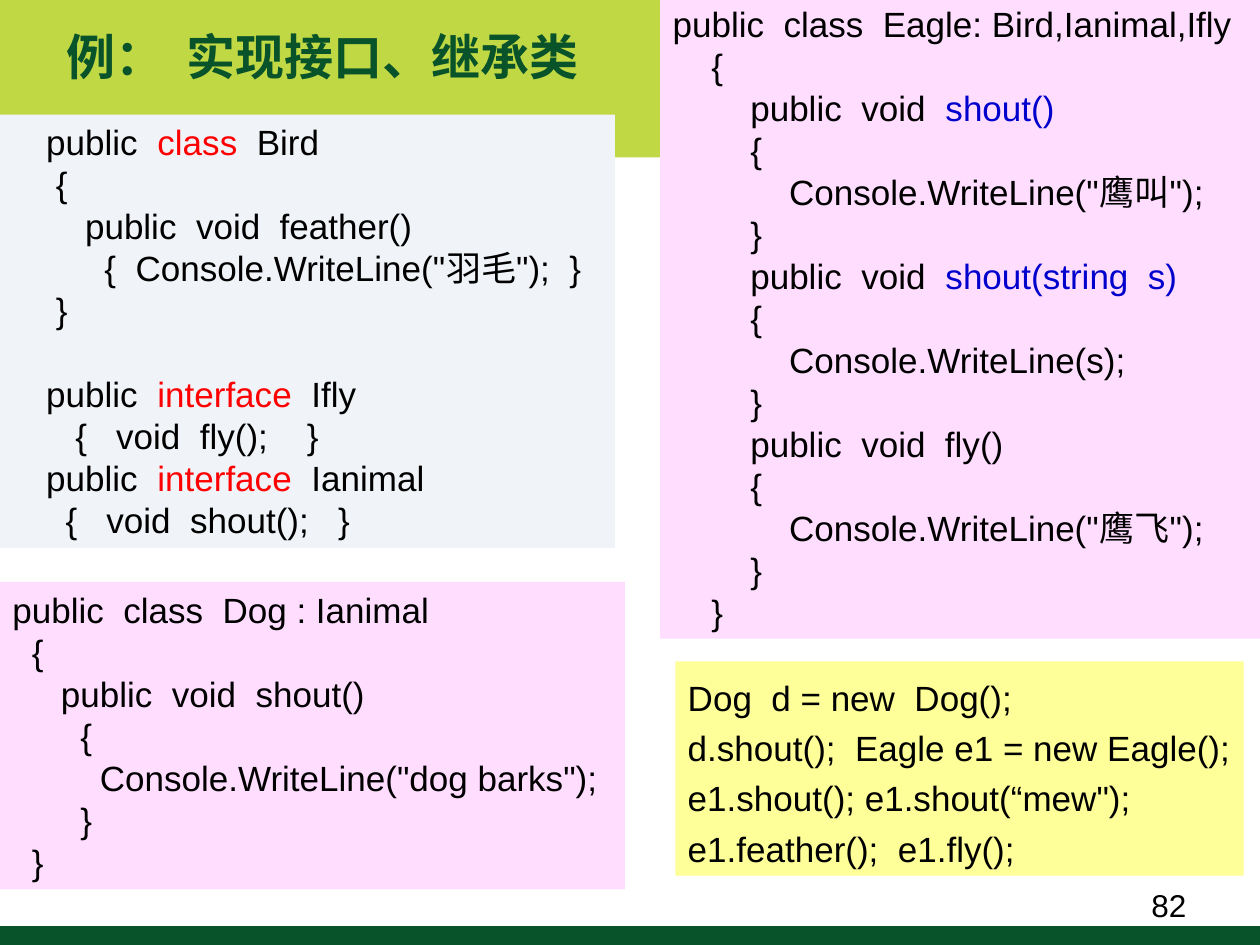
from pptx import Presentation
from pptx import util as u
from pptx.dml.color import RGBColor
from pptx.enum import shapes, text
from pptx.oxml.ns import qn
from lxml import etree

LIME = RGBColor(0xBF, 0xD8, 0x44)
GREEN = RGBColor(0x09, 0x53, 0x2A)
BLACK = RGBColor(0, 0, 0)
RED = RGBColor(0xFF, 0, 0)
BLUE = RGBColor(0, 0, 0xCC)
PALE_GREY = RGBColor(0xF0, 0xF3, 0xF8)
PINK = RGBColor(0xFF, 0xDD, 0xFF)
YELLOW = RGBColor(0xFF, 0xFF, 0x99)
LATIN_FONT = "Arial"
CHINESE_FONT = "Noto Sans CJK SC"
CODE_SIZE = 20
CODE_PITCH = 24

BIRD_CODE = '''    public  |class | Bird
     {
        public  void  feather()
          {  Console.WriteLine("羽毛");  }
     }

    public  |interface | Ifly
       {   void  fly();    }
    public  |interface | Ianimal
      {   void  shout();   }'''

DOG_CODE = '''public  class  Dog : Ianimal
  {
     public  void  shout()
       {
         Console.WriteLine("dog barks");
       }
  }'''

EAGLE_CODE = '''public  class  Eagle: Bird,Ianimal,Ifly
    {
        public  void  |shout()
        {
            Console.WriteLine("鹰叫");
        }
        public  void  |shout(string  s)
        {
            Console.WriteLine(s);
        }
        public  void  fly()
        {
            Console.WriteLine("鹰飞");
        }
    }'''

USAGE_CODE = '''Dog  d = new  Dog();
d.shout();  Eagle e1 = new Eagle();
e1.shout(); e1.shout(“mew");
e1.feather();  e1.fly();'''


def format_run(run, size, color, latin=LATIN_FONT, bold=False):
    run.font.size = u.Pt(size)
    run.font.bold = bold
    run.font.color.rgb = color
    run.font.name = latin
    east_asian = etree.Element(qn("a:ea"), typeface=CHINESE_FONT)
    run.font._element.find(qn("a:latin")).addnext(east_asian)


def add_rectangle(slide, box, fill):
    shape = slide.shapes.add_shape(
        shapes.MSO_SHAPE.RECTANGLE, *(u.Pt(value) for value in box))
    shape.shadow.inherit = False
    shape.fill.solid()
    shape.fill.fore_color.rgb = fill
    shape.line.fill.background()
    return shape


def add_code_panel(slide, box, fill, code, highlight=BLACK,
                   pitch=CODE_PITCH, wrap=True):
    frame = add_rectangle(slide, box, fill).text_frame
    frame.word_wrap = wrap
    frame.vertical_anchor = text.MSO_ANCHOR.TOP
    paragraph = frame.paragraphs[0]
    gap = 0
    for index, line in enumerate(code.splitlines()):
        if not line:
            gap = pitch
            continue
        if index:
            paragraph = frame.add_paragraph()
        paragraph.alignment = text.PP_ALIGN.LEFT
        paragraph.line_spacing = u.Pt(pitch)
        paragraph.space_before = u.Pt(gap)
        gap = 0
        for position, part in enumerate(line.split("|")):
            run = paragraph.add_run()
            run.text = part
            format_run(run, CODE_SIZE, highlight if position % 2 else BLACK)


def add_title(slide, box, words):
    title = slide.shapes.title
    title.left, title.top, title.width, title.height = (
        u.Pt(value) for value in box)
    frame = title.text_frame
    frame.text = words
    frame.vertical_anchor = text.MSO_ANCHOR.MIDDLE
    paragraph = frame.paragraphs[0]
    paragraph.alignment = text.PP_ALIGN.LEFT
    format_run(paragraph.runs[0], 28, GREEN, CHINESE_FONT, True)


def add_page_number(slide, box, number):
    frame = slide.shapes.add_textbox(
        *(u.Pt(value) for value in box)).text_frame
    frame.word_wrap = False
    frame.text = number
    format_run(frame.paragraphs[0].runs[0], 18, BLACK)


def send_to_back(slide, shape):
    slide.shapes._spTree.insert(2, shape._element)


def main():
    presentation = Presentation()
    presentation.slide_width = u.Pt(720)
    presentation.slide_height = u.Pt(540)
    slide = presentation.slides.add_slide(presentation.slide_layouts[5])

    header = add_rectangle(slide, (0, 0, 720, 90), LIME)
    send_to_back(slide, header)
    add_rectangle(slide, (0, 529.2, 720, 10.8), GREEN)
    add_page_number(slide, (650.9, 502.6, 34.4, 28.8), "82")
    add_title(slide, (31, 3.6, 649.4, 56.9), "例：  实现接口、继承类")

    add_code_panel(slide, (-2.9, 65.5, 354.3, 247.7), PALE_GREY, BIRD_CODE, RED)
    add_code_panel(slide, (0, 332.6, 357.1, 175.7), PINK, DOG_CODE)
    add_code_panel(slide, (377.3, -2.2, 345.6, 367.2), PINK, EAGLE_CODE, BLUE)
    add_code_panel(slide, (385.9, 378, 324.7, 122.4), YELLOW, USAGE_CODE,
                   pitch=1.2 * CODE_PITCH, wrap=False)

    presentation.save("out.pptx")


if __name__ == "__main__":
    main()
